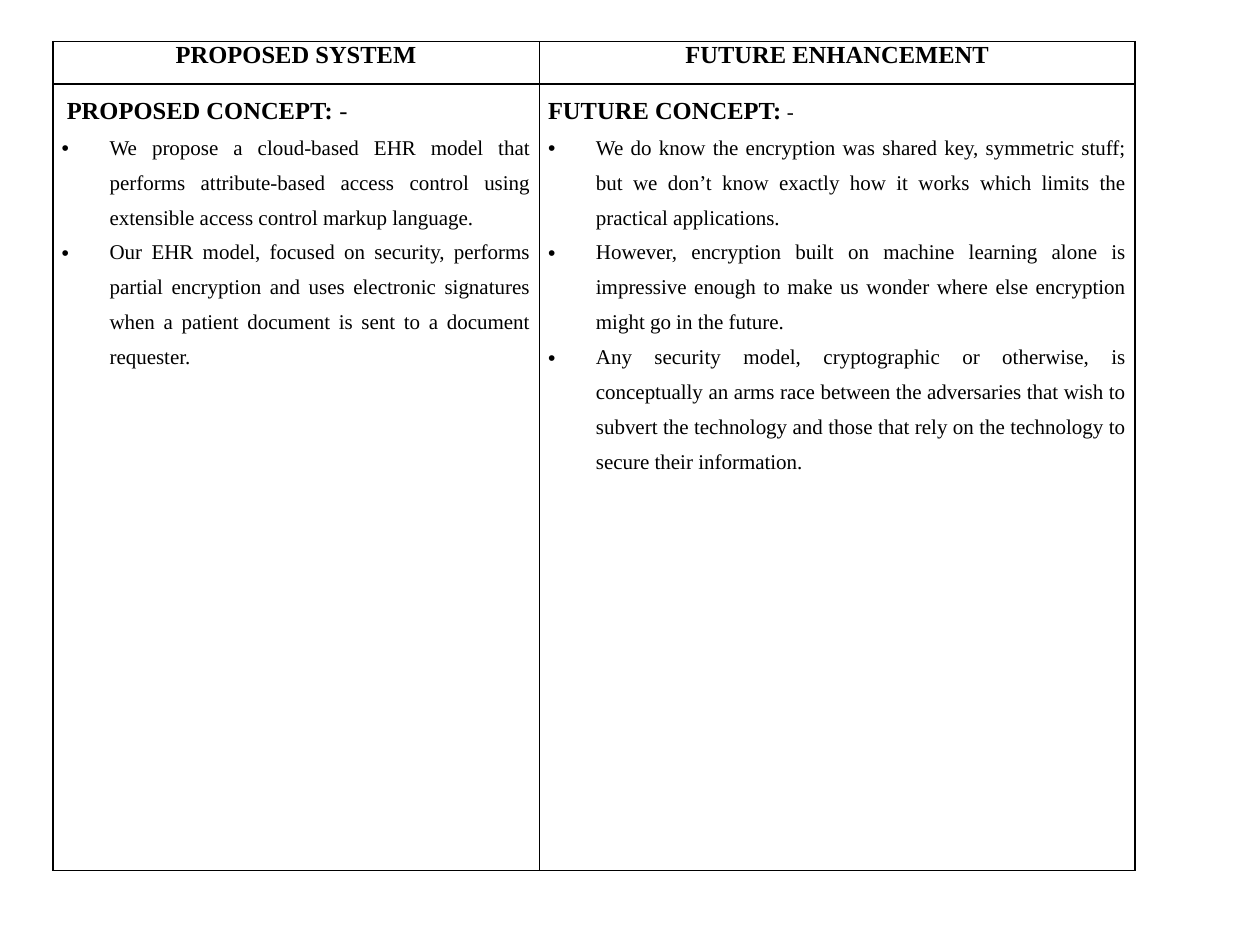
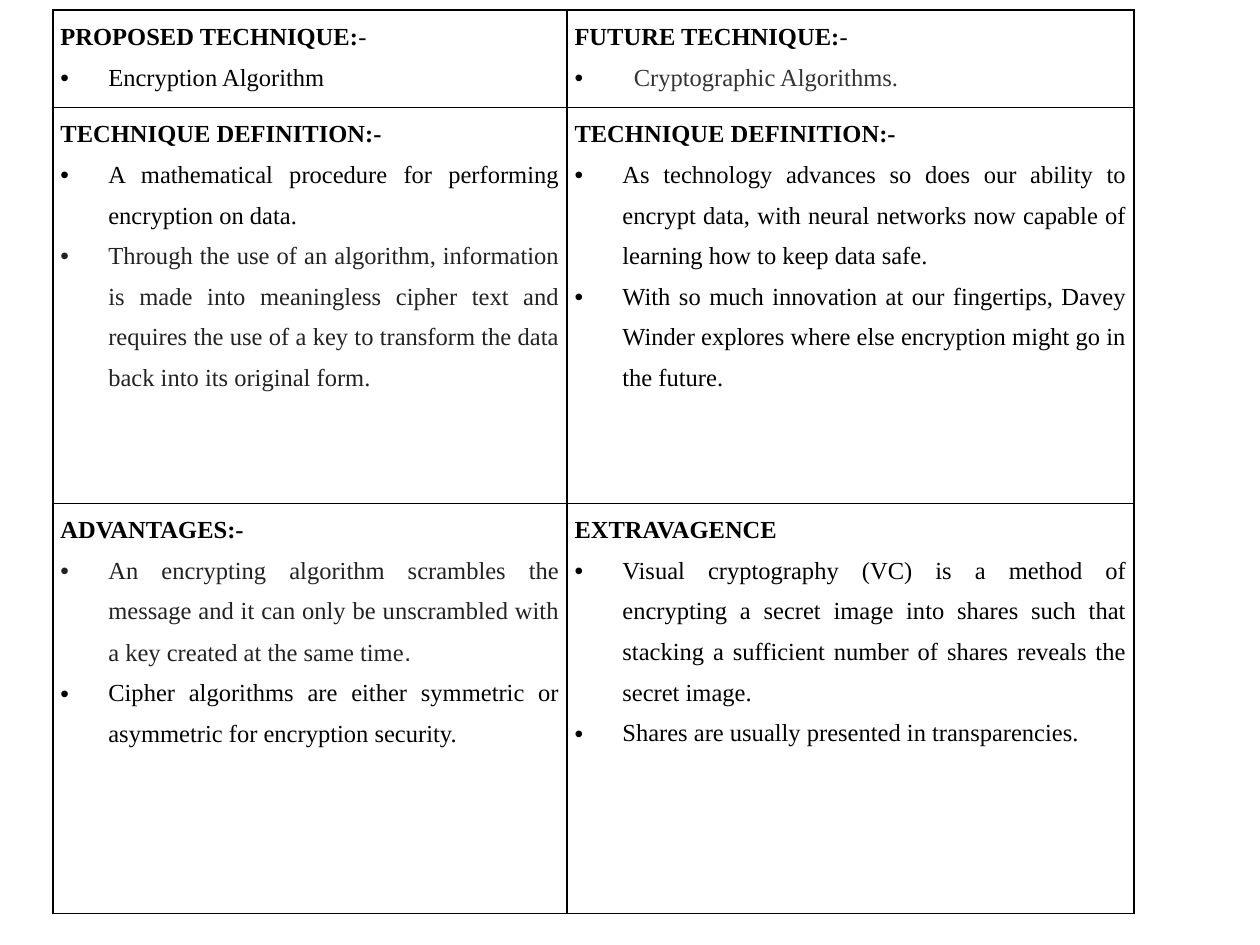
from dataclasses import dataclass
from typing import NamedTuple

from lxml.etree import SubElement
from pptx import Presentation
from pptx.dml.color import RGBColor
from pptx.enum.text import PP_ALIGN
from pptx.oxml import parse_xml
from pptx.oxml.ns import nsdecls, qn
from pptx.util import Inches, Pt


# Shared look
@dataclass(frozen=True)
class Theme:
    wide: float = 10
    high: float = 7.5
    left: float = 4.2  # percent of slide width
    face: str = "Times New Roman"
    ink: str = "000000"
    dark: str = "222222"
    soft: str = "333333"
    large: int = 14
    small: int = 12
    rule: int = 1
    lead: float = 1.5
    hang: float = 0.38


LOOK = Theme()


class Span(NamedTuple):
    text: str
    size: int = LOOK.large
    bold: bool = False
    tint: str = LOOK.ink
    face: str = LOOK.face


class Para(NamedTuple):
    spans: list[Span]
    align: PP_ALIGN = PP_ALIGN.LEFT
    left: float = 0
    first: float = 0
    dot: str = ""  # bullet colour, none if empty
    lead: float = LOOK.lead
    after: int = 0


class Grid(NamedTuple):
    top: float  # percent of slide height
    cols: list[float]  # percent of slide width
    rows: list[float]  # percent of slide height
    inset: float
    cells: list[list[list[Para]]]


# Kinds of paragraph
def title(text: str) -> Para:
    return Para([Span(text, bold=True)], PP_ALIGN.CENTER, lead=1, after=6)


def head(text: str, dash: str = "", size: int = LOOK.large, left: float = 0) -> Para:
    spans = [Span(text, bold=True)]
    if dash:
        spans.append(Span(dash, size))
    return Para(spans, left=left)


def point(text: str, size: int = LOOK.large, tint: str = LOOK.ink,
          dot: str = "", hang: float = LOOK.hang) -> Para:
    return Para([Span(text, size, tint=tint)], PP_ALIGN.JUSTIFY,
                hang, -hang, dot or tint)


def brief(text: str) -> Para:
    return point(text, LOOK.small)


# Drawing
def across(share: float) -> int:
    return Inches(LOOK.wide * share / 100)


def down(share: float) -> int:
    return Inches(LOOK.high * share / 100)


def write(para, item: Para) -> None:
    props = para._p.get_or_add_pPr()
    props.set("marL", str(Inches(item.left)))
    props.set("indent", str(Inches(item.first)))
    if item.dot:
        tint = SubElement(props, qn("a:buClr"))
        SubElement(tint, qn("a:srgbClr"), val=item.dot)
        SubElement(props, qn("a:buFont"), typeface="Arial")
        SubElement(props, qn("a:buChar"), char="•")
    else:
        SubElement(props, qn("a:buNone"))
    para.alignment = item.align
    para.line_spacing = item.lead
    para.space_after = Pt(item.after)
    para.text = item.spans[0].text
    for span in item.spans[1:]:
        para.add_run().text = span.text
    for run, span in zip(para.runs, item.spans):
        run.font.name = span.face
        run.font.size = Pt(span.size)
        run.font.bold = span.bold
        run.font.color.rgb = RGBColor.from_string(span.tint)


def border(cell) -> None:
    props = cell._tc.get_or_add_tcPr()
    for spot, side in enumerate(("lnL", "lnR", "lnT", "lnB")):
        props.insert(spot, parse_xml(
            f'<a:{side} {nsdecls("a")} w="{Pt(LOOK.rule)}"><a:solidFill>'
            f'<a:srgbClr val="{LOOK.ink}"/></a:solidFill></a:{side}>'))


def fill(cell, items: list[Para], inset: float) -> None:
    cell.fill.background()
    border(cell)
    cell.margin_left = cell.margin_right = Inches(inset)
    cell.margin_top = cell.margin_bottom = 0
    frame = cell.text_frame
    for spot, item in enumerate(items):
        write(frame.add_paragraph() if spot else frame.paragraphs[0], item)


def draw(slide, grid: Grid) -> None:
    table = slide.shapes.add_table(
        len(grid.rows), len(grid.cols), across(LOOK.left), down(grid.top),
        across(sum(grid.cols)), down(sum(grid.rows))).table
    table.first_row = table.horz_banding = False
    for col, share in zip(table.columns, grid.cols):
        col.width = across(share)
    for row, share, texts in zip(table.rows, grid.rows, grid.cells):
        row.height = down(share)
        for cell, items in zip(row.cells, texts):
            fill(cell, items, grid.inset)


# Slide 1: concepts
CONCEPT = Grid(4.4, [38.6, 47.3], [4.5, 83.2], 0.07, [
    [[title("PROPOSED SYSTEM")], [title("FUTURE ENHANCEMENT")]],
    [[
        head("PROPOSED CONCEPT:", " -", left=0.04),
        brief("We propose a cloud-based EHR model that performs attribute-based "
              "access control using extensible access control markup language."),
        brief("Our EHR model, focused on security, performs partial encryption "
              "and uses electronic signatures when a patient document is sent "
              "to a document requester."),
    ], [
        head("FUTURE CONCEPT:", " -", LOOK.small),
        brief("We do know the encryption was shared key, symmetric stuff; but we "
              "don’t know exactly how it works which limits the practical "
              "applications."),
        brief("However, encryption built on machine learning alone is impressive "
              "enough to make us wonder where else encryption might go in the "
              "future."),
        brief("Any security model, cryptographic or otherwise, is conceptually "
              "an arms race between the adversaries that wish to subvert the "
              "technology and those that rely on the technology to secure their "
              "information."),
    ]],
])

# Slide 2: techniques
SCRAMBLE = point("An encrypting algorithm scrambles the message and it can only "
                 "be unscrambled with a key created at the same time",
                 tint=LOOK.dark)
SCRAMBLE.spans.append(Span(".", tint=LOOK.dark, face="Arial"))

METHOD = Grid(1.07, [40.8, 45], [10.3, 41.9, 43.4], 0.06, [
    [[
        head("PROPOSED TECHNIQUE:", "-"),
        point("Encryption Algorithm"),
    ], [
        head("FUTURE TECHNIQUE:", "-"),
        point("Cryptographic Algorithms.", tint=LOOK.soft, dot=LOOK.ink, hang=0.47),
    ]],
    [[
        head("TECHNIQUE DEFINITION:-"),
        point("A mathematical procedure for performing encryption on data."),
        point("Through the use of an algorithm, information is made into "
              "meaningless cipher text and requires the use of a key to "
              "transform the data back into its original form.", tint=LOOK.dark),
    ], [
        head("TECHNIQUE DEFINITION:-"),
        point("As technology advances so does our ability to encrypt data, with "
              "neural networks now capable of learning how to keep data safe."),
        point("With so much innovation at our fingertips, Davey Winder explores "
              "where else encryption might go in the future."),
    ]],
    [[
        head("ADVANTAGES:-"),
        SCRAMBLE,
        point("Cipher algorithms are either symmetric or asymmetric for "
              "encryption security."),
    ], [
        head("EXTRAVAGENCE"),
        point("Visual cryptography (VC) is a method of encrypting a secret image "
              "into shares such that stacking a sufficient number of shares "
              "reveals the secret image."),
        point("Shares are usually presented in transparencies."),
    ]],
])


def main() -> None:
    deck = Presentation()
    deck.slide_width, deck.slide_height = Inches(LOOK.wide), Inches(LOOK.high)
    for grid in (CONCEPT, METHOD):
        draw(deck.slides.add_slide(deck.slide_layouts[6]), grid)
    deck.save("out.pptx")


if __name__ == "__main__":
    main()
